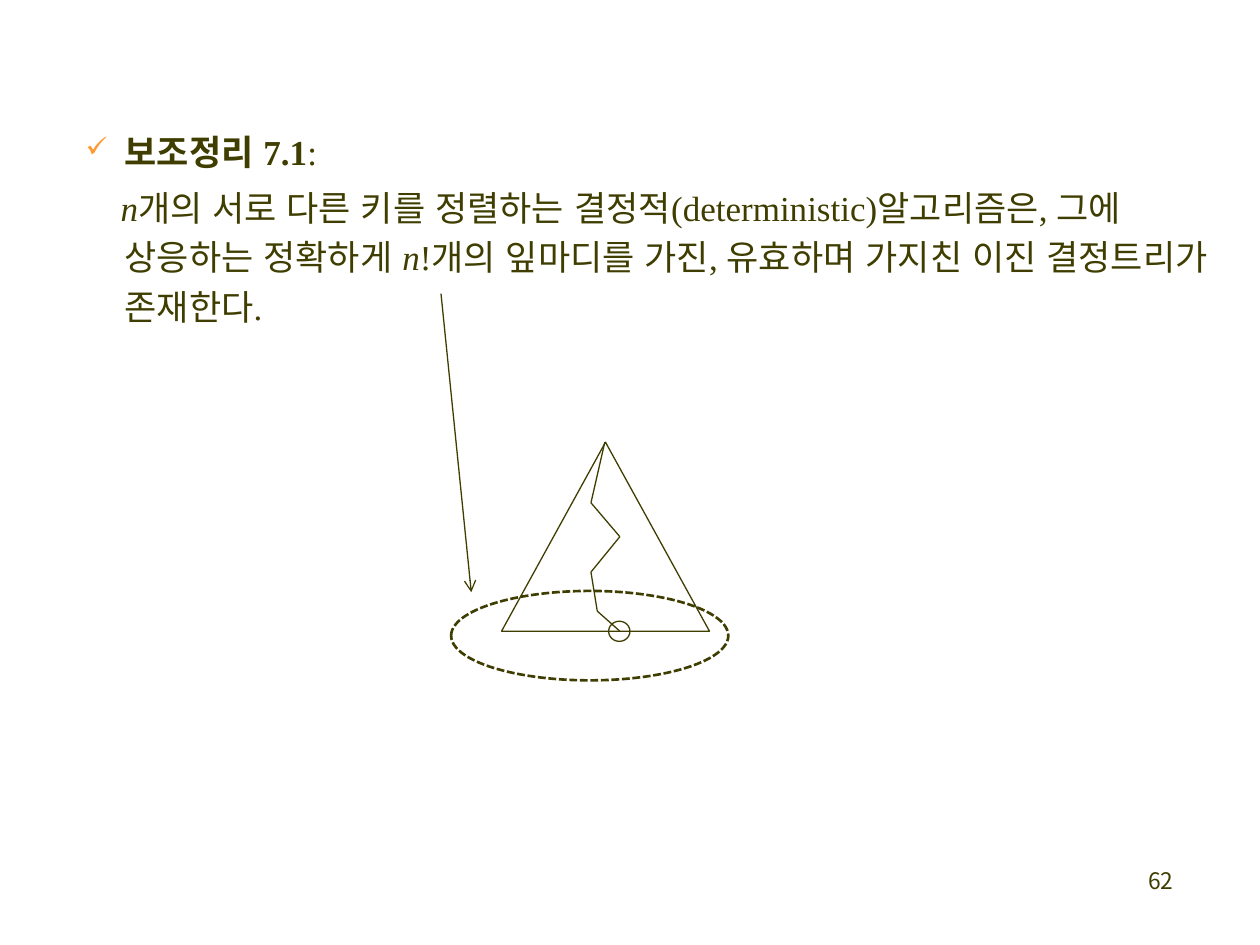
from dataclasses import dataclass
from itertools import pairwise
from lxml.etree import SubElement
from pptx import Presentation
from pptx.dml.color import RGBColor
from pptx.enum.dml import MSO_LINE
from pptx.enum.lang import MSO_LANGUAGE_ID
from pptx.enum.shapes import MSO_CONNECTOR, MSO_SHAPE
from pptx.enum.text import MSO_ANCHOR, PP_ALIGN
from pptx.oxml.ns import qn
from pptx.util import Pt

INK = "3F3E00"
HAN = "Noto Sans CJK KR"
ROMAN = "Times New Roman"


@dataclass
class Form:
    """An unfilled outline shape, measured in points."""
    kind: MSO_SHAPE
    left: float
    top: float
    width: float
    height: float
    weight: float = 0.75
    dash: MSO_LINE | None = None


FORMS = [
    Form(MSO_SHAPE.ISOSCELES_TRIANGLE, 286.6, 252.7, 118.8, 108),
    Form(MSO_SHAPE.OVAL, 257.8, 337.7, 158.4, 51.1, 1.5, MSO_LINE.SQUARE_DOT),
    Form(MSO_SHAPE.OVAL, 347.8, 355, 12.2, 11.5),
]
TRAIL = [(345.6, 252.7), (337.7, 287.3), (354.2, 306.7),
         (337.7, 326.9), (341.3, 349.2), (354.2, 360.7)]
ARROW = [(252, 167.8), (269.3, 338.4)]


def color(code: str) -> RGBColor:
    """Turn a hex string into a colour."""
    return RGBColor.from_string(code)


def add_box(slide, left: float, top: float, width: float, height: float):
    """Add a wrapping text box and return its frame."""
    frame = slide.shapes.add_textbox(Pt(left), Pt(top), Pt(width), Pt(height)).text_frame
    frame.word_wrap = True
    frame.vertical_anchor = MSO_ANCHOR.TOP
    return frame


def add_text(para, text: str, *, size: float = 20, face: str = ROMAN,
             bold: bool = False, italic: bool = False) -> None:
    """Add a formatted run to a paragraph."""
    run = para.add_run()
    run.text = text
    font = run.font
    font.size, font.bold, font.italic = Pt(size), bold, italic
    font.name = face
    font.color.rgb = color(INK)
    font.language_id = MSO_LANGUAGE_ID.KOREAN
    SubElement(font._element, qn("a:ea"), typeface=HAN)


def set_indent(para, first: float):
    """Set the hanging indent and the gap above; return the properties."""
    para.space_before = Pt(4)
    props = para._p.get_or_add_pPr()
    props.set("marL", str(Pt(58.3)))
    props.set("indent", str(Pt(first)))
    return props


def add_tick(props) -> None:
    """Give a paragraph an orange check mark."""
    tint = SubElement(props, qn("a:buClr"))
    SubElement(tint, qn("a:srgbClr"), val="FF9933")
    SubElement(props, qn("a:buSzPct"), val="80000")
    SubElement(props, qn("a:buChar"), char="✓")


def add_form(slide, form: Form) -> None:
    """Draw one outline shape."""
    shape = slide.shapes.add_shape(form.kind, Pt(form.left), Pt(form.top),
                                   Pt(form.width), Pt(form.height))
    shape.shadow.inherit = False
    shape.fill.background()
    shape.line.color.rgb = color(INK)
    shape.line.width = Pt(form.weight)
    if form.dash:
        shape.line.dash_style = form.dash


def add_line(slide, start: tuple, end: tuple, head: bool = False) -> None:
    """Draw a straight line, with an arrowhead at its end if asked."""
    line = slide.shapes.add_connector(MSO_CONNECTOR.STRAIGHT, *map(Pt, start + end))
    line.line.color.rgb = color(INK)
    line.line.width = Pt(0.75)
    props = line._element.spPr
    if head:
        SubElement(props.find(qn("a:ln")), qn("a:tailEnd"), type="arrow")
    SubElement(props, qn("a:effectLst"))


def main() -> None:
    """Build and save the slide."""
    deck = Presentation()
    deck.slide_width, deck.slide_height = Pt(720), Pt(540)
    slide = deck.slides.add_slide(deck.slide_layouts[6])

    page = add_box(slide, 527.8, 491.8, 149.8, 36).paragraphs[0]
    page.alignment = PP_ALIGN.RIGHT
    add_text(page, "62", size=13, face=HAN)

    body = add_box(slide, 5.8, 71.3, 696.2, 151.9)
    title = body.paragraphs[0]
    add_tick(set_indent(title, -22.3))
    add_text(title, "보조정리 7.1", bold=True)
    add_text(title, ":")

    lemma = body.add_paragraph()
    lemma.line_spacing = Pt(28)
    set_indent(lemma, -2.3)
    add_text(lemma, "n", italic=True)
    add_text(lemma, "개의 서로 다른 키를 정렬하는 결정적(deterministic)알고리즘은, "
                    "그에 상응하는 정확하게 ")
    add_text(lemma, "n", italic=True)
    add_text(lemma, "!개의 잎마디를 가진, 유효하며 가지친 이진 결정트리가 존재한다.")

    for form in FORMS:
        add_form(slide, form)
    for start, end in pairwise(TRAIL):
        add_line(slide, start, end)
    add_line(slide, *ARROW, head=True)
    deck.save("out.pptx")


if __name__ == "__main__":
    main()
